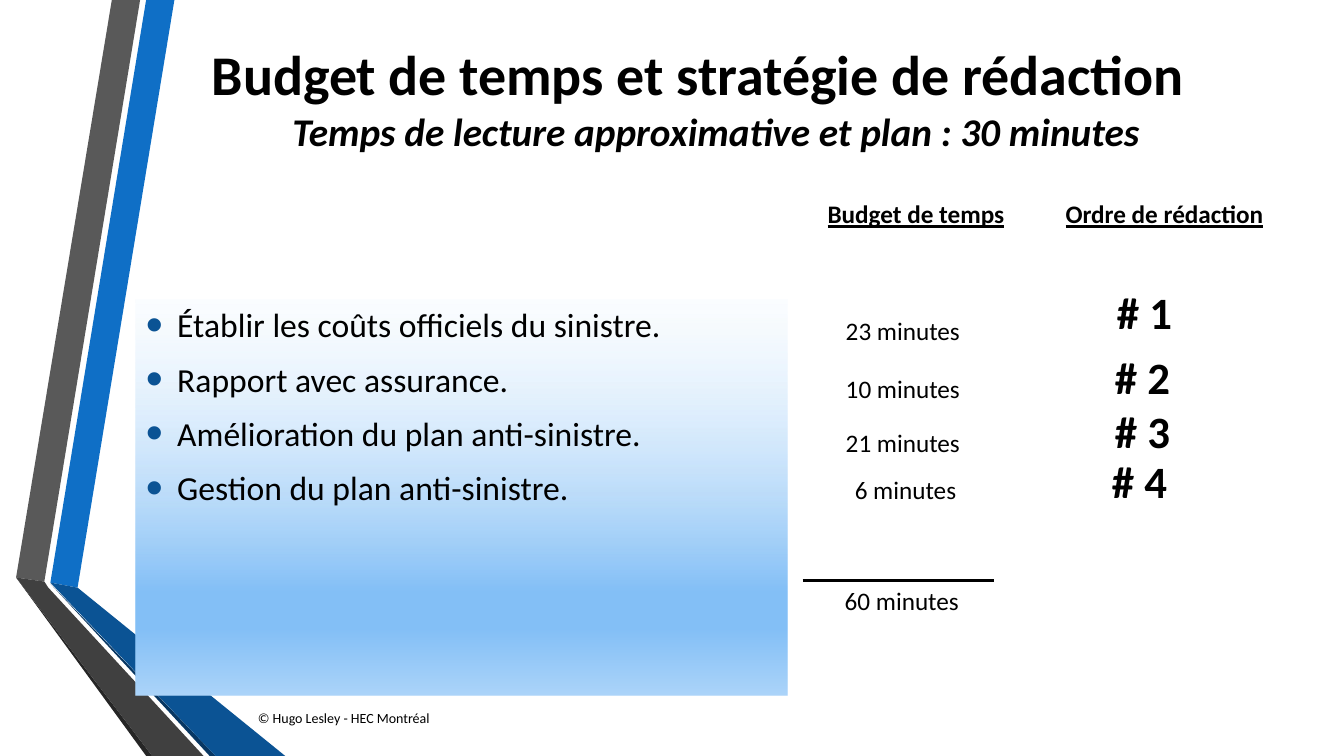
from dataclasses import dataclass
from typing import NamedTuple

from pptx import Presentation
from pptx import oxml, util as u
from pptx.dml import color
from pptx.enum import shapes, text
from pptx.oxml import ns


@dataclass(frozen=True)
class Theme:
    font: str = "Calibri"
    ink: str = "000000"
    bullet: str = "0B5394"
    title: int = 40
    subtitle: int = 28
    rank: int = 32
    body: int = 24
    label: int = 18
    footer: int = 10


class Ribbon(NamedTuple):
    fill: str
    points: list[tuple[float, float]]


class Label(NamedTuple):
    words: str
    left: float
    top: float
    width: float
    size: int
    height: float = 0.4
    bold: bool = False
    underline: bool = False
    wrap: bool = True
    anchor: text.MSO_ANCHOR = text.MSO_ANCHOR.TOP


class Question(NamedTuple):
    topic: str
    minutes: str
    minutes_at: tuple[float, float]
    rank: str
    rank_at: tuple[float, float]


THEME = Theme()

RIBBONS = [
    Ribbon("0F6FC6", [(0.5, 5.78), (0.77, 5.83), (1.73, 0), (1.45, 0)]),
    Ribbon("595959", [(1.39, 0), (1.11, 0), (0.16, 5.73), (0.44, 5.77)]),
    Ribbon("262626", [(0.16, 5.73), (1.45, 7.5), (1.51, 7.5)]),
    Ribbon("083763", [(0.5, 5.79), (2.08, 7.5), (2.14, 7.5)]),
    Ribbon("0B5394", [(0.5, 5.78), (2.14, 7.5), (2.83, 7.5), (0.77, 5.83)]),
    Ribbon("404040", [(2.02, 7.5), (0.48, 5.83), (0.44, 5.77), (0.16, 5.73), (1.51, 7.5)]),
]

QUESTIONS = [
    Question("Établir les coûts officiels du sinistre.", "23 minutes", (8.29, 3.08), "# 1", (10.98, 2.78)),
    Question("Rapport avec assurance.", "10 minutes", (8.29, 3.65), "# 2", (10.96, 3.42)),
    Question("Amélioration du plan anti-sinistre.", "21 minutes", (8.29, 4.19), "# 3", (10.96, 3.96)),
    Question("Gestion du plan anti-sinistre.", "6 minutes", (8.38, 4.66), "# 4", (10.93, 4.45)),
]

LABELS = [
    Label("Budget de temps", 8.11, 1.92, 2.11, THEME.label, bold=True, underline=True),
    Label("Ordre de rédaction", 10.47, 1.92, 2.26, THEME.label, bold=True, underline=True),
    *(Label(q.minutes, *q.minutes_at, 1.36, THEME.label) for q in QUESTIONS),
    Label("60 minutes", 8.28, 5.76, 1.36, THEME.label),
    *(Label(q.rank, *q.rank_at, 0.82, THEME.rank, 0.64, bold=True, wrap=False) for q in QUESTIONS),
    Label("© Hugo Lesley - HEC Montréal", 2.46, 6.92, 7.75, THEME.footer, anchor=text.MSO_ANCHOR.MIDDLE),
]

GRADIENT = f"""<a:gradFill {ns.nsdecls('a')} rotWithShape="1"><a:gsLst>
<a:gs pos="0"><a:srgbClr val="F1F8FE"><a:alpha val="30000"/></a:srgbClr></a:gs>
<a:gs pos="74000"><a:srgbClr val="83BFF6"/></a:gs>
<a:gs pos="83000"><a:srgbClr val="83BFF6"/></a:gs>
<a:gs pos="100000"><a:srgbClr val="ACD4F9"/></a:gs>
</a:gsLst><a:lin ang="5400000" scaled="0"/></a:gradFill>"""

BULLET = [
    f'<a:buClr {ns.nsdecls("a")}><a:srgbClr val="{THEME.bullet}"/></a:buClr>',
    f'<a:buSzPct {ns.nsdecls("a")} val="145000"/>',
    f'<a:buFont {ns.nsdecls("a")} typeface="Arial"/>',
    f'<a:buChar {ns.nsdecls("a")} char="•"/>',
]


def rgb(value: str) -> color.RGBColor:
    return color.RGBColor.from_string(value)


def add_run(p, words: str, size: int, bold: bool = False, italic: bool = False, underline: bool = False) -> None:
    r = p.add_run()
    r.text = words
    r.font.name, r.font.size = THEME.font, u.Pt(size)
    r.font.bold, r.font.italic, r.font.underline = bold, italic, underline
    r.font.color.rgb = rgb(THEME.ink)


def add_ribbon(s, ribbon: Ribbon) -> None:
    start, *rest = [(u.Inches(x), u.Inches(y)) for x, y in ribbon.points]
    builder = s.shapes.build_freeform(*start)
    builder.add_line_segments(rest, close=True)
    sp = builder.convert_to_shape()
    sp.shadow.inherit = False
    sp.fill.solid()
    sp.fill.fore_color.rgb = rgb(ribbon.fill)
    sp.line.fill.background()


def add_title(s) -> None:
    sp = s.shapes.title
    sp.left, sp.top, sp.width, sp.height = (u.Inches(v) for v in (1.62, 0, 10.96, 1.92))
    tf = sp.text_frame
    tf.vertical_anchor = text.MSO_ANCHOR.MIDDLE
    p = tf.paragraphs[0]
    p.alignment = text.PP_ALIGN.CENTER
    add_run(p, "Budget de temps et stratégie de rédaction\t", THEME.title, bold=True)
    p.add_line_break()
    add_run(p, "Temps de lecture approximative et plan : 30 minutes", THEME.subtitle, bold=True, italic=True)


def add_topics(s) -> None:
    box = (u.Inches(v) for v in (1.35, 2.97, 6.46, 3.93))
    sp = s.shapes.add_shape(shapes.MSO_SHAPE.RECTANGLE, *box)
    sp.shadow.inherit = False
    sp.line.fill.background()
    sp._element.spPr.find(ns.qn("a:prstGeom")).addnext(oxml.parse_xml(GRADIENT))
    tf = sp.text_frame
    tf.word_wrap = True
    tf.vertical_anchor = text.MSO_ANCHOR.TOP
    for i, question in enumerate(QUESTIONS):
        p = tf.add_paragraph() if i else tf.paragraphs[0]
        p.alignment = text.PP_ALIGN.LEFT
        p.space_before, p.space_after = u.Pt(4 if i else 0), u.Pt(6)
        pPr = p._p.get_or_add_pPr()
        pPr.set("marL", str(u.Inches(0.31)))
        pPr.set("indent", str(-u.Inches(0.31)))
        for part in BULLET:
            pPr.append(oxml.parse_xml(part))
        add_run(p, question.topic, THEME.body)


def add_label(s, label: Label) -> None:
    box = (u.Inches(v) for v in (label.left, label.top, label.width, label.height))
    tf = s.shapes.add_textbox(*box).text_frame
    tf.word_wrap = label.wrap
    tf.vertical_anchor = label.anchor
    if label.anchor == text.MSO_ANCHOR.TOP:
        tf.auto_size = text.MSO_AUTO_SIZE.SHAPE_TO_FIT_TEXT
    add_run(tf.paragraphs[0], label.words, label.size, label.bold, underline=label.underline)


def add_total_rule(s) -> None:
    ends = (u.Inches(v) for v in (7.96, 5.76, 9.86, 5.76))
    rule = s.shapes.add_connector(shapes.MSO_CONNECTOR.STRAIGHT, *ends)
    rule.line.color.rgb = rgb(THEME.ink)
    rule.line.width = u.Pt(2.5)
    rule._element.spPr.append(oxml.parse_xml(f'<a:effectLst {ns.nsdecls("a")}/>'))


def main() -> None:
    prs = Presentation()
    prs.slide_width, prs.slide_height = u.Inches(13.33), u.Inches(7.5)
    s = prs.slides.add_slide(prs.slide_layouts[5])
    for ribbon in RIBBONS:
        add_ribbon(s, ribbon)
    add_title(s)
    add_topics(s)
    add_total_rule(s)
    for label in LABELS:
        add_label(s, label)
    prs.save("out.pptx")


if __name__ == "__main__":
    main()
